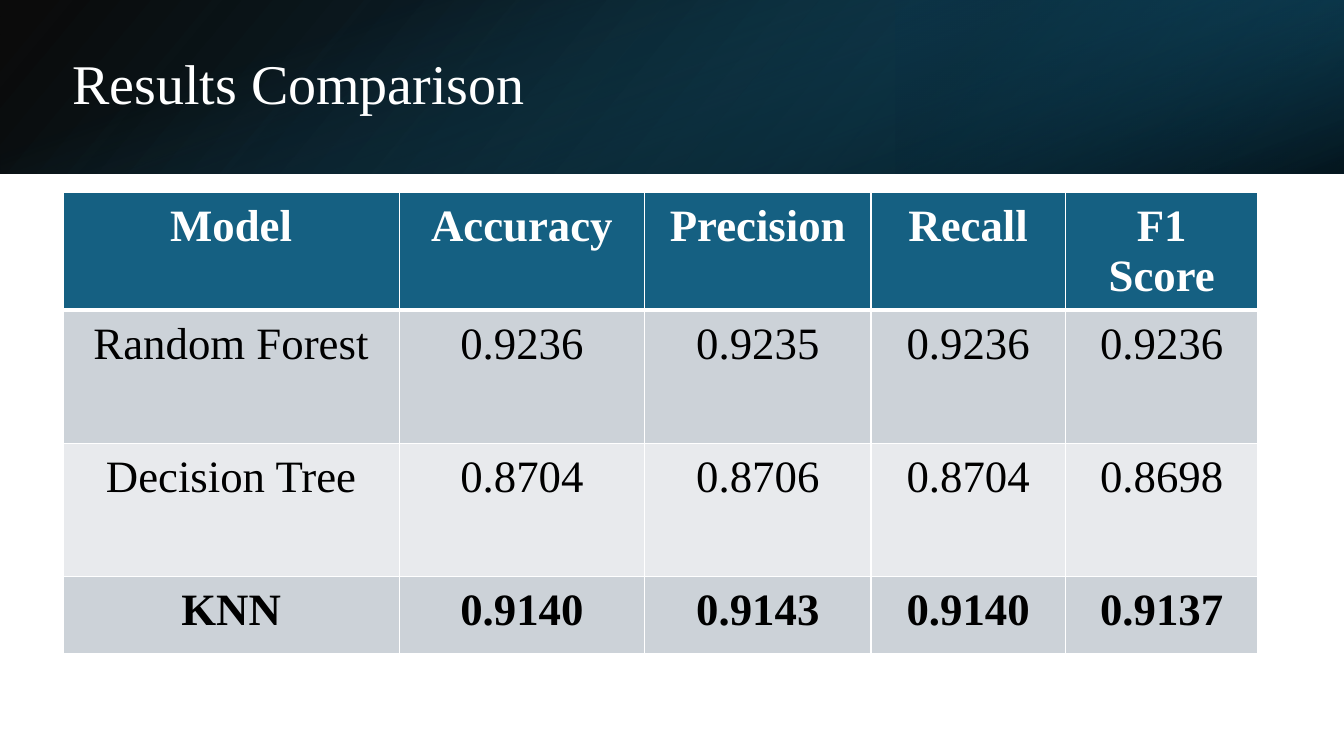
import lxml.etree
import pptx
import pptx.dml.color
import pptx.enum.shapes
import pptx.enum.text
import pptx.oxml.ns
import pptx.util

Pt = pptx.util.Pt
qn = pptx.oxml.ns.qn
ALIGN = pptx.enum.text.PP_ALIGN

COLOURS = {
    "white": "FFFFFF",
    "black": "000000",
    "blue": "156082",
    "mid_blue": "104862",
    "dark_blue": "0B3041",
    "band_dark": "CCD2D8",
    "band_light": "E8EAED",
}
PAGE_WIDTH, PAGE_HEIGHT = 960, 540
HEADER_HEIGHT = 124
LEFT, CONTENT_WIDTH = 44.64, 853.92

COLUMN_WIDTHS = [240, 175.5, 161.5, 139, 137.5]
ROW_HEIGHTS = [55.5, 95, 95, 55.5]
RESULTS = [
    ["Model", "Accuracy", "Precision", "Recall", "F1 Score"],
    ["Random Forest", "0.9236", "0.9235", "0.9236", "0.9236"],
    ["Decision Tree", "0.8704", "0.8706", "0.8704", "0.8698"],
    ["KNN", "0.9140", "0.9143", "0.9140", "0.9137"],
]
ROW_FILLS = ["blue", "band_dark", "band_light", "band_dark"]


def rgb(name):
    return pptx.dml.color.RGBColor.from_string(COLOURS[name])


def write_text(frame, text, size, colour, bold=False, align=ALIGN.LEFT,
               spacing=None, font="Times New Roman"):
    para = frame.paragraphs[0]
    para.alignment = align
    para.line_spacing = spacing
    span = para.add_run()
    span.text = text
    span.font.name = font
    span.font.size = Pt(size)
    span.font.bold = bold
    span.font.color.rgb = rgb(colour)


def set_borders(cell, top=1, bottom=1):
    """Draw white cell borders; the border elements must precede the fill."""
    properties = cell._tc.get_or_add_tcPr()
    widths = {"a:lnL": 1, "a:lnR": 1, "a:lnT": top, "a:lnB": bottom}
    for index, (tag, width) in enumerate(widths.items()):
        line = lxml.etree.Element(qn(tag), w=str(Pt(width)))
        fill = lxml.etree.SubElement(line, qn("a:solidFill"))
        lxml.etree.SubElement(fill, qn("a:srgbClr"), val=COLOURS["white"])
        properties.insert(index, line)


class SlideBuilder:
    def __init__(self, deck):
        self.page = deck.slides.add_slide(deck.slide_layouts[5])
        self.shapes = self.page.shapes

    def gradient(self, left, top, width, height, stops, angle,
                 rotation=0, flip=False):
        """Add a gradient rectangle; stops are (percent, colour, opacity)."""
        box = self.shapes.add_shape(
            pptx.enum.shapes.MSO_SHAPE.RECTANGLE,
            Pt(left), Pt(top), Pt(width), Pt(height))
        box.shadow.inherit = False
        box.line.fill.background()
        box.rotation = rotation
        if flip:
            box._element.spPr.xfrm.set("flipH", "1")
        box.fill.gradient()
        box.fill.gradient_angle = 360 - angle
        for stop, (position, colour, _) in zip(box.fill.gradient_stops, stops):
            stop.position = position / 100
            stop.color.rgb = rgb(colour)
        colour_elements = box._element.spPr.iter(qn("a:srgbClr"))
        for element, (_, _, opacity) in zip(list(colour_elements), stops):
            lxml.etree.SubElement(element, qn("a:alpha"),
                                  val=str(opacity * 1000))

    def title(self, text, left, top, width, height):
        box = self.shapes.title
        box.left, box.top = Pt(left), Pt(top)
        box.width, box.height = Pt(width), Pt(height)
        frame = box.text_frame
        frame.word_wrap = True
        frame.vertical_anchor = pptx.enum.text.MSO_ANCHOR.MIDDLE
        write_text(frame, text, size=40, colour="white", spacing=0.9)
        # Bring the title in front of the header band.
        self.shapes._spTree.append(box._element)

    def table(self, rows, left, top, widths, heights, fills):
        table = self.shapes.add_table(
            len(rows), len(widths), Pt(left), Pt(top),
            Pt(sum(widths)), Pt(sum(heights))).table
        for column, width in zip(table.columns, widths):
            column.width = Pt(width)
        for r, values in enumerate(rows):
            table.rows[r].height = Pt(heights[r])
            for c, value in enumerate(values):
                cell = table.cell(r, c)
                cell.margin_left = cell.margin_right = Pt(13)
                cell.margin_top = cell.margin_bottom = Pt(6.5)
                cell.fill.solid()
                cell.fill.fore_color.rgb = rgb(fills[r])
                set_borders(cell, top=3 if r == 1 else 1,
                            bottom=3 if r == 0 else 1)
                write_text(cell.text_frame, value, size=32,
                           colour="white" if r == 0 else "black",
                           bold=r in (0, len(rows) - 1), align=ALIGN.CENTER)


def main():
    deck = pptx.Presentation()
    deck.slide_width, deck.slide_height = Pt(PAGE_WIDTH), Pt(PAGE_HEIGHT)
    slide = SlideBuilder(deck)

    slide.gradient(0, 0, PAGE_WIDTH, HEADER_HEIGHT,
                   [(0, "black", 96), (100, "mid_blue", 100)],
                   angle=140, flip=True)
    slide.gradient(PAGE_WIDTH * 2 / 3, 0, PAGE_WIDTH / 3, HEADER_HEIGHT,
                   [(19, "dark_blue", 68), (100, "blue", 79)],
                   angle=320, rotation=180, flip=True)
    offset = (PAGE_WIDTH - HEADER_HEIGHT) / 2
    slide.gradient(offset, -offset, HEADER_HEIGHT, PAGE_WIDTH,
                   [(23, "blue", 0), (99, "black", 74)],
                   angle=340, rotation=90)

    slide.title("Results Comparison", LEFT, 27.36, CONTENT_WIDTH, 69.12)
    slide.table(RESULTS, LEFT + 0.5, 137.5, COLUMN_WIDTHS, ROW_HEIGHTS,
                ROW_FILLS)
    deck.save("out.pptx")


if __name__ == "__main__":
    main()
